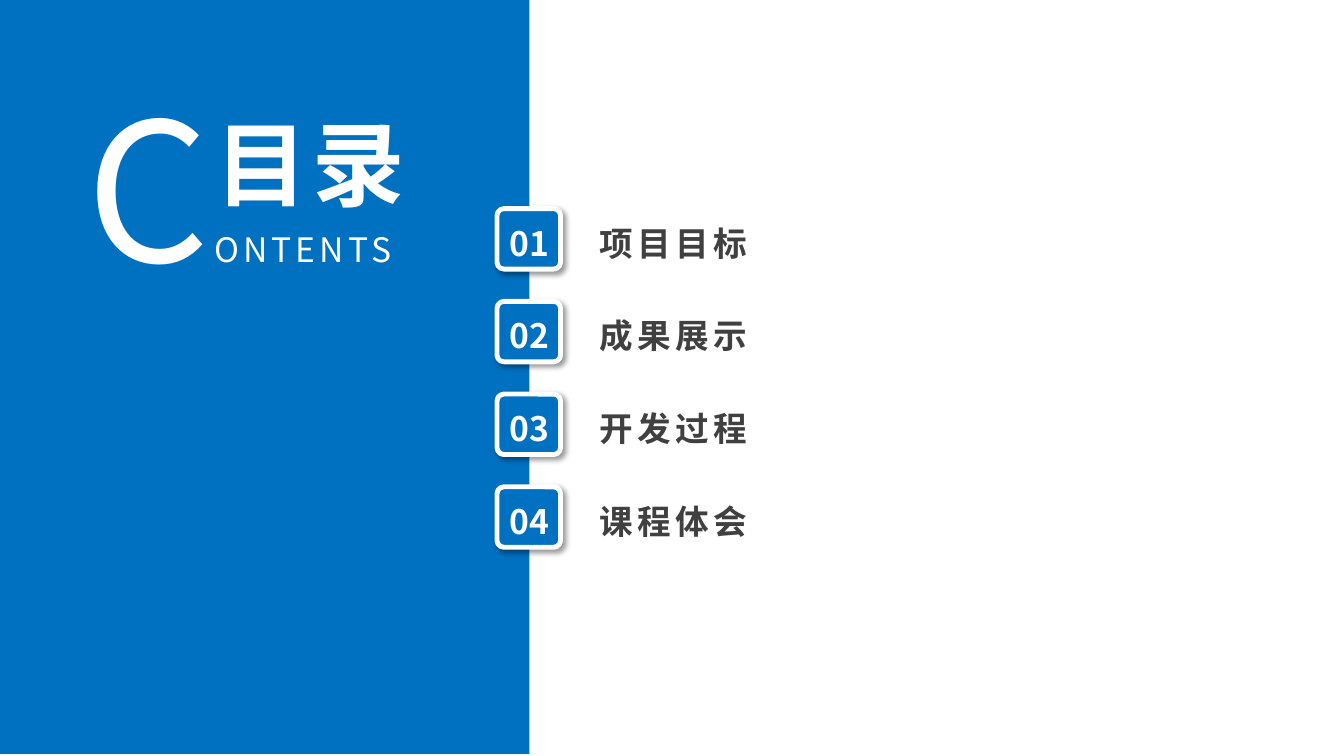
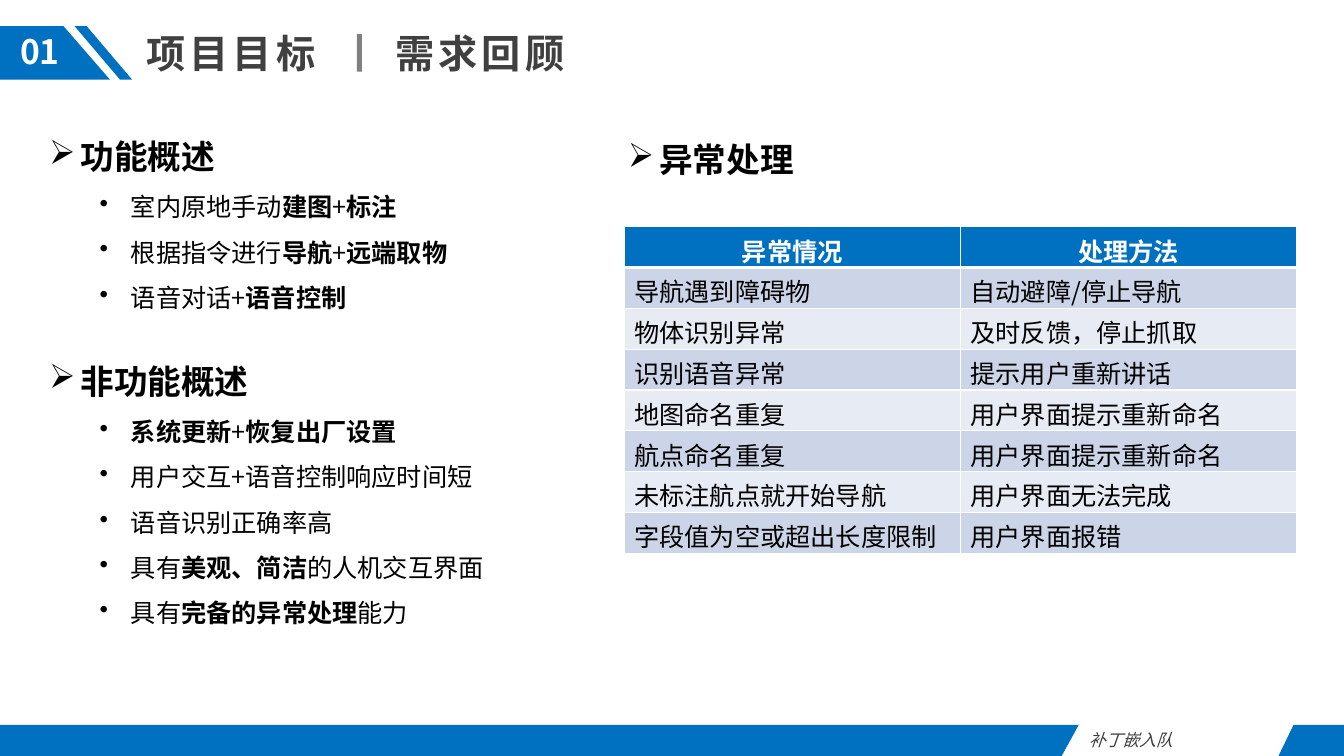
from lxml import etree
from pptx import Presentation
from pptx.dml.color import RGBColor
from pptx.enum.shapes import MSO_SHAPE as Shape
from pptx.enum.text import MSO_ANCHOR as Anchor, MSO_AUTO_SIZE as AutoSize, PP_ALIGN as Align
from pptx.oxml import parse_xml
from pptx.oxml.ns import nsdecls, qn
from pptx.util import Inches, Pt

FONT = "Noto Sans CJK SC"
COLORS = {"blue": "0070C0", "white": "FFFFFF", "dark": "404040", "gray": "808080",
          "black": "000000", "odd": "CCD5E8", "even": "E7EBF4"}

CHAPTERS = ["项目目标", "成果展示", "开发过程", "课程体会"]
TOPIC = "需求回顾"
TEAM = "补丁嵌入队"

# Each bullet is a list of (text, bold) pieces.
FUNCTIONS = ("功能概述", [
    [("室内原地手动", False), ("建图", True), ("+", False), ("标注", True)],
    [("根据指令进行", False), ("导航", True), ("+", False), ("远端取物", True)],
    [("语音对话+", False), ("语音控制", True)],
])
QUALITIES = ("非功能概述", [
    [("系统更新", True), ("+", False), ("恢复出厂设置", True)],
    [("用户交互+语音控制响应时间短", False)],
    [("语音识别正确率高", False)],
    [("具有", False), ("美观、简洁", True), ("的人机交互界面", False)],
    [("具有", False), ("完备的异常处理", True), ("能力", False)],
])
EXCEPTIONS = ("异常处理", [])
SECTIONS = [(FUNCTIONS, (0.39, 1.1, 6.67, 2.02)),
            (EXCEPTIONS, (6.13, 1.13, 6.67, 0.64)),
            (QUALITIES, (0.39, 3.33, 6.67, 3.38))]

EXCEPTION_ROWS = [
    ("异常情况", "处理方法"),
    ("导航遇到障碍物", "自动避障/停止导航"),
    ("物体识别异常", "及时反馈，停止抓取"),
    ("识别语音异常", "提示用户重新讲话"),
    ("地图命名重复", "用户界面提示重新命名"),
    ("航点命名重复", "用户界面提示重新命名"),
    ("未标注航点就开始导航", "用户界面无法完成"),
    ("字段值为空或超出长度限制", "用户界面报错"),
]


def rgb(name):
    return RGBColor.from_string(COLORS[name])


def style(para, size, color, bold=False, italic=False, align=Align.LEFT, spacing=0):
    """Format a whole paragraph, East Asian font and letter spacing included."""
    para.alignment = align
    font = para.font
    font.name, font.size, font.bold, font.italic = FONT, Pt(size), bold, italic
    font.color.rgb = rgb(color)
    props = para._p.get_or_add_pPr().find(qn("a:defRPr"))
    props.set("spc", str(spacing * 100))
    etree.SubElement(props, qn("a:ea")).set("typeface", FONT)


def set_frame(box, at):
    box.left, box.top, box.width, box.height = map(Inches, at)
    frame = box.text_frame
    frame.word_wrap = True
    frame.vertical_anchor = Anchor.TOP
    frame.auto_size = AutoSize.SHAPE_TO_FIT_TEXT
    return frame


def add_frame(slide, at):
    return set_frame(slide.shapes.add_textbox(*map(Inches, at)), at)


def add_text(slide, text, at, size, color, **options):
    para = add_frame(slide, at).paragraphs[0]
    para.text = text
    style(para, size, color, **options)


def set_title(slide, text, at, size, color, **options):
    """Fill the title and bring it in front of what is drawn so far."""
    title = slide.shapes.title
    para = set_frame(title, at).paragraphs[0]
    para.text = text
    style(para, size, color, bold=True, spacing=3, **options)
    slide.shapes._spTree.append(title._element)


def paint(shape, color):
    shape.shadow.inherit = False
    shape.fill.solid()
    shape.fill.fore_color.rgb = rgb(color)
    shape.line.fill.background()
    return shape


def add_block(slide, kind, at, color):
    return paint(slide.shapes.add_shape(kind, *map(Inches, at)), color)


def add_outline(slide, points):
    first, *rest = [(Inches(x), Inches(y)) for x, y in points]
    builder = slide.shapes.build_freeform(*first)
    builder.add_line_segments(rest, close=True)
    paint(builder.convert_to_shape(), "blue")


def add_number(slide, number, at):
    add_text(slide, f"{number:02}", at, 24, "white", bold=True, align=Align.CENTER)


def add_badge(slide, number, top):
    badge = add_block(slide, Shape.ROUNDED_RECTANGLE, (4.93, top, 0.63, 0.6), "blue")
    badge.adjustments[0] = 0.114
    badge.line.color.rgb = rgb("white")
    badge.line.width = Pt(3.5)
    effects = badge._element.spPr.find(qn("a:effectLst"))
    effects.append(parse_xml(
        f'<a:outerShdw {nsdecls("a")} blurRad="{Pt(4)}" dist="{Pt(3)}" dir="2700000" '
        f'algn="tl" rotWithShape="0"><a:srgbClr val="{COLORS["black"]}">'
        '<a:alpha val="40000"/></a:srgbClr></a:outerShdw>'))
    add_number(slide, number, (4.91, top + 0.09, 0.68, 0.5))


def add_bullet(para, char, indent):
    props = para._p.get_or_add_pPr()
    props.set("marL", str(Inches(indent)))
    props.set("indent", str(Inches(-0.31)))
    para.line_spacing = 1.5
    etree.SubElement(props, qn("a:buChar")).set("char", char)


def add_section(slide, section, at):
    heading, bullets = section
    frame = add_frame(slide, at)
    para = frame.paragraphs[0]
    para.text = heading
    add_bullet(para, "➢", 0.31)
    style(para, 24, "black", bold=True)
    for pieces in bullets:
        para = frame.add_paragraph()
        para.level = 1
        add_bullet(para, "•", 0.81)
        style(para, 18, "black")
        for text, bold in pieces:
            span = para.add_run()
            span.text = text
            span.font.bold = bold


def set_borders(cell, top, bottom):
    props = cell._tc.get_or_add_tcPr()
    for side, width in (("L", 1), ("R", 1), ("T", top), ("B", bottom)):
        props.append(parse_xml(
            f'<a:ln{side} {nsdecls("a")} w="{Pt(width)}"><a:solidFill>'
            f'<a:srgbClr val="{COLORS["white"]}"/></a:solidFill></a:ln{side}>'))


def add_exception_table(slide):
    rows, columns = len(EXCEPTION_ROWS), len(EXCEPTION_ROWS[0])
    table = slide.shapes.add_table(rows, columns, Inches(6.19), Inches(2.25),
                                   Inches(6.67), Inches(3.24)).table
    for r, texts in enumerate(EXCEPTION_ROWS):
        header = r == 0
        for c, text in enumerate(texts):
            cell = table.cell(r, c)
            set_borders(cell, top=3 if r == 1 else 1, bottom=3 if header else 1)
            cell.fill.solid()
            cell.fill.fore_color.rgb = rgb("blue" if header else "odd" if r % 2 else "even")
            para = cell.text_frame.paragraphs[0]
            para.text = text
            style(para, 18, "white" if header else "black", bold=header,
                  align=Align.CENTER if header else Align.LEFT)


def add_header(slide, number, chapter, topic):
    add_outline(slide, [(0, 0.26), (0.63, 0.26), (1.09, 0.79), (0, 0.79)])
    add_outline(slide, [(0.86, 0.26), (1.31, 0.79), (1.19, 0.79), (0.74, 0.26)])
    add_number(slide, number, (0, 0.26, 0.79, 0.5))
    set_title(slide, chapter, (1.35, 0.24, 1.96, 0.57), 28, "dark")
    add_block(slide, Shape.RECTANGLE, (3.54, 0.34, 0.05, 0.37), "gray")
    add_text(slide, topic, (3.82, 0.24, 1.96, 0.57), 28, "dark", bold=True, spacing=3)


def add_footer(slide):
    add_outline(slide, [(0, 7.19), (10.7, 7.19), (10.53, 7.5), (0, 7.5)])
    add_outline(slide, [(12.83, 7.19), (13.33, 7.19), (13.33, 7.5), (12.68, 7.5)])
    add_text(slide, TEAM, (10.7, 7.19, 1.98, 0.3), 12, "dark", italic=True,
             align=Align.JUSTIFY)


def build_contents(slide):
    add_block(slide, Shape.RECTANGLE, (0, -0.02, 5.25, 7.5), "blue")
    para = add_frame(slide, (0.76, 0.64, 3.68, 2.35)).paragraphs[0]
    style(para, 24, "white", align=Align.JUSTIFY, spacing=3)
    for text, size in (("C", 138), ("ONTENTS", 24)):
        span = para.add_run()
        span.text = text
        span.font.size = Pt(size)
    set_title(slide, "目录", (2.04, 1.01, 2.44, 1.17), 66, "white", align=Align.JUSTIFY)
    for index, chapter in enumerate(CHAPTERS):
        top = 2.07 + 0.92 * index
        add_badge(slide, index + 1, top)
        add_text(slide, chapter, (5.85, top + 0.09, 3.05, 0.5), 24, "dark",
                 bold=True, spacing=3)


def build_goals(slide):
    add_header(slide, 1, CHAPTERS[0], TOPIC)
    for section, at in SECTIONS:
        add_section(slide, section, at)
    add_exception_table(slide)
    add_footer(slide)


def main():
    deck = Presentation()
    deck.slide_width, deck.slide_height = Inches(13.33), Inches(7.5)
    title_only = deck.slide_layouts[5]
    for build in (build_contents, build_goals):
        build(deck.slides.add_slide(title_only))
    deck.save("out.pptx")


if __name__ == "__main__":
    main()
